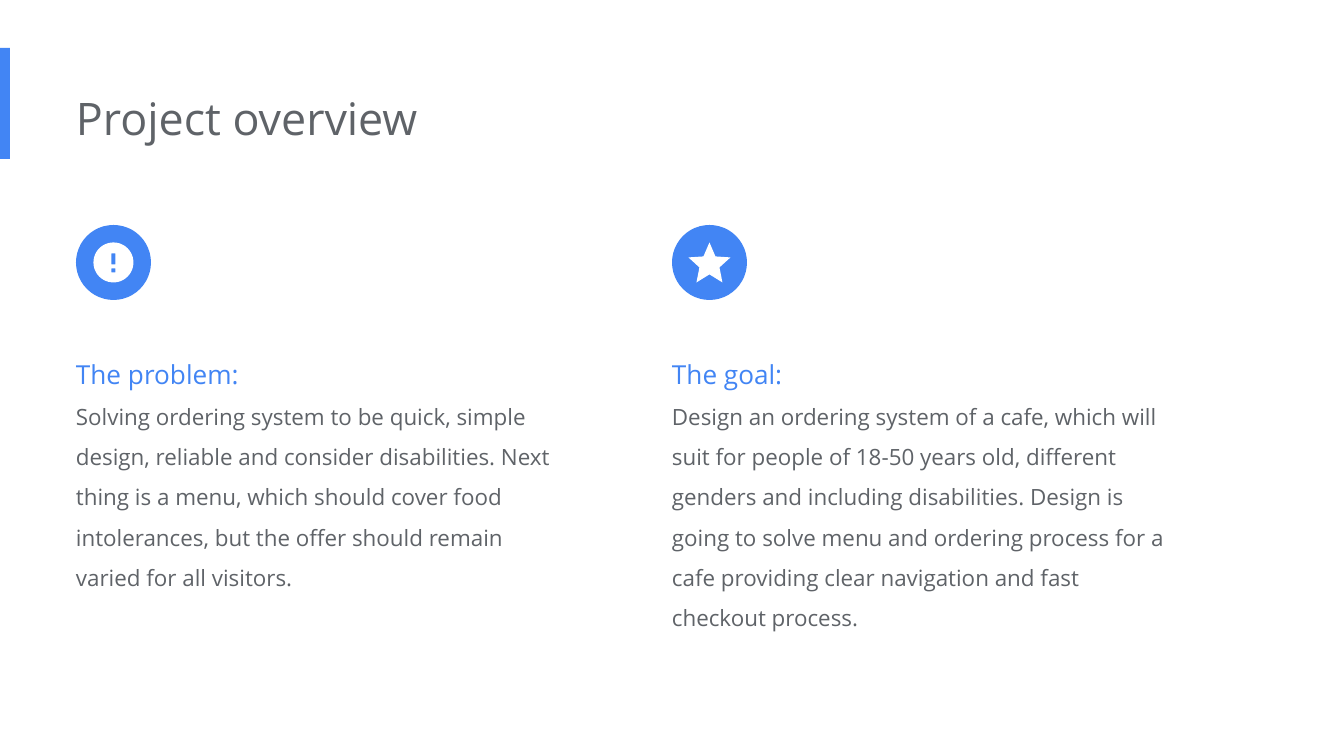
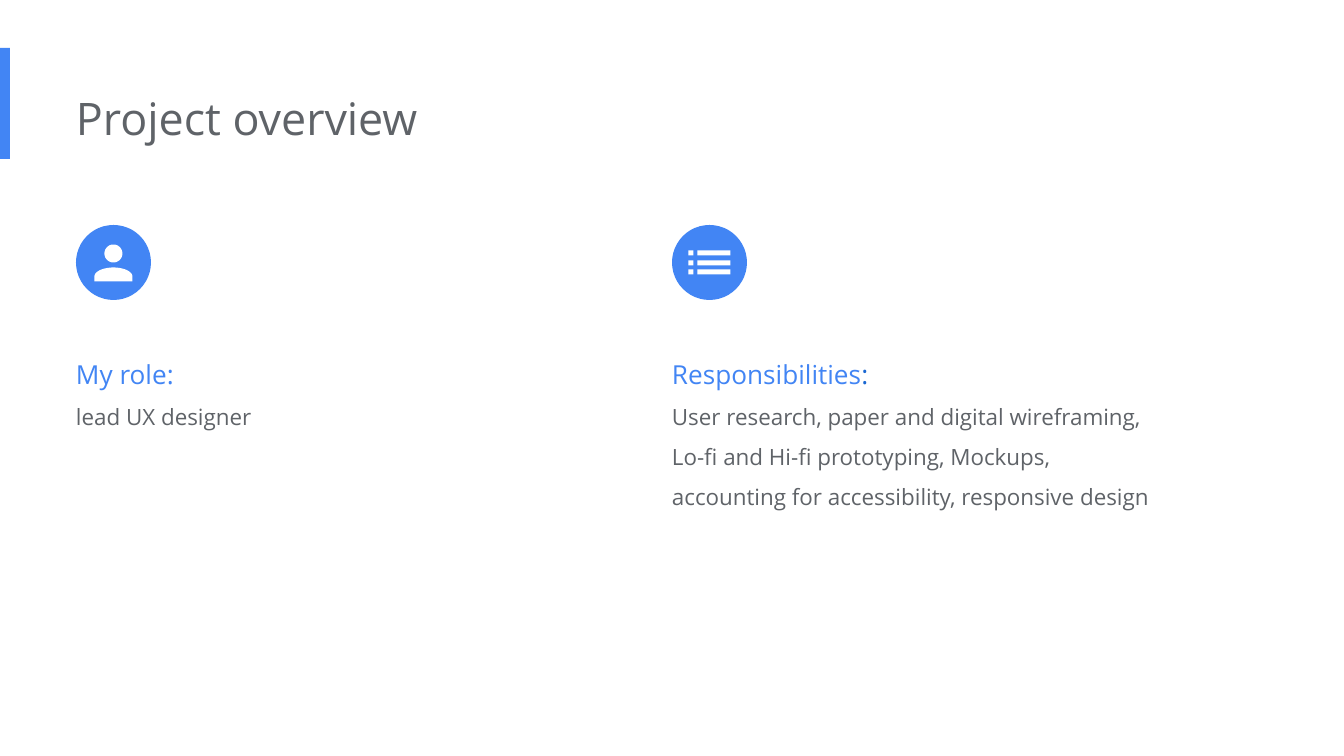
from math import cos, pi, sin

from pptx import Presentation
from pptx.dml.color import RGBColor
from pptx.enum.shapes import MSO_SHAPE
from pptx.enum.text import MSO_ANCHOR, MSO_AUTO_SIZE
from pptx.util import Inches, Pt

PX = Inches(10) / 1344
COLORS = {"blue": "4285F4", "deep": "1967D2", "grey": "5F6368", "white": "FFFFFF"}
FONT = "Open Sans"
LEFT, RIGHT = 76, 672
BADGE_TOP, BADGE_SIZE = 225, 75


def emu(px):
    return round(px * PX)


def rgb(name):
    return RGBColor.from_string(COLORS[name])


def add_run(p, text, size=12, color="grey"):
    r = p.add_run()
    r.text = text
    r.font.name = FONT
    r.font.size = Pt(size)
    r.font.color.rgb = rgb(color)


def box(x1, y1, x2, y2):
    return [(x1, y1), (x2, y1), (x2, y2), (x1, y2)]


def arc(cx, cy, rx, ry, start=0, end=2 * pi, steps=48):
    angles = [start + (end - start) * i / steps for i in range(steps + 1)]
    return [(cx + rx * cos(a), cy + ry * sin(a)) for a in angles]


ICONS = {
    "alert": [arc(0, 0, 20, 20), box(-2, -9, 2, 2), box(-2, 6, 2, 10)],
    "star": [[(0, 12), (13, 20), (10, 5), (21, -5), (6, -6),
              (0, -20), (-6, -6), (-21, -5), (-10, 5), (-13, 20)]],
    "person": [arc(0, -9, 9, 9),
               arc(0, 14, 19, 9, pi, 2 * pi) + [(19, 19), (-19, 19)]],
    "list": [box(x1, y, x2, y + 5)
             for x1, x2 in ((-21, -16), (-12, 21)) for y in (-12, -2, 7)],
}


class Deck:
    """Hold the shared style and the slide being built."""

    def __init__(self):
        self.prs = Presentation()
        self.prs.slide_width, self.prs.slide_height = emu(1344), emu(756)
        self.s = None

    def slide(self, title):
        self.s = self.prs.slides.add_slide(self.prs.slide_layouts[6])
        self.s.background.fill.solid()
        self.s.background.fill.fore_color.rgb = rgb("white")
        self.shape(MSO_SHAPE.RECTANGLE, 0, 48, 10, 111)
        tf = self.text_box(LEFT, 77, 905, 82)
        add_run(tf.paragraphs[0], title, size=24)

    def paint(self, sp, color):
        sp.shadow.inherit = False
        sp.fill.solid()
        sp.fill.fore_color.rgb = rgb(color)
        sp.line.fill.background()

    def shape(self, kind, x, y, w, h, color="blue"):
        sp = self.s.shapes.add_shape(kind, emu(x), emu(y), emu(w), emu(h))
        self.paint(sp, color)

    def text_box(self, x, y, w, h):
        tf = self.s.shapes.add_textbox(emu(x), emu(y), emu(w), emu(h)).text_frame
        tf.word_wrap = True
        tf.auto_size = MSO_AUTO_SIZE.SHAPE_TO_FIT_TEXT
        tf.vertical_anchor = MSO_ANCHOR.TOP
        tf.margin_left = 0
        tf.margin_top = tf.margin_right = tf.margin_bottom = Inches(0.1)
        return tf

    def icon(self, name, cx, cy):
        outlines = [[(emu(cx + x), emu(cy + y)) for x, y in outline]
                    for outline in ICONS[name]]
        fb = self.s.shapes.build_freeform(*outlines[0][0])
        for i, outline in enumerate(outlines):
            if i:
                fb.move_to(*outline[0])
            fb.add_line_segments(outline[1:], close=True)
        self.paint(fb.convert_to_shape(), "white")

    def column(self, x, h, icon, heading, body):
        tf = self.text_box(x, 329, 507, h)
        p = tf.paragraphs[0]
        p.line_spacing = 1.5
        for text, color in heading:
            add_run(p, text, size=14, color=color)
        p = tf.add_paragraph()
        p.line_spacing = 1.5
        add_run(p, body)
        self.shape(MSO_SHAPE.OVAL, x, BADGE_TOP, BADGE_SIZE, BADGE_SIZE)
        self.icon(icon, x + BADGE_SIZE / 2, BADGE_TOP + BADGE_SIZE / 2)


def main():
    deck = Deck()

    deck.slide("Project overview")
    deck.column(LEFT, 305, "alert", [("The problem:", "blue")],
                "Solving ordering system to be quick, simple design, reliable and "
                "consider disabilities. Next thing is a menu, which should cover food "
                "intolerances, but the offer should remain varied for all visitors.")
    deck.column(RIGHT, 347, "star", [("The goal:", "blue")],
                "Design an ordering system of a cafe, which will suit for people of "
                "18-50 years old, different genders and including disabilities. Design "
                "is going to solve menu and ordering process for a cafe providing clear "
                "navigation and fast checkout process.")

    deck.slide("Project overview")
    deck.column(LEFT, 102, "person", [("My role:", "blue")], "lead UX designer")
    deck.column(RIGHT, 183, "list", [("Responsibilities", "blue"), (":", "deep")],
                "User research, paper and digital wireframing, Lo-fi and Hi-fi "
                "prototyping, Mockups, accounting for accessibility, responsive design")

    deck.prs.save("out.pptx")


if __name__ == "__main__":
    main()
